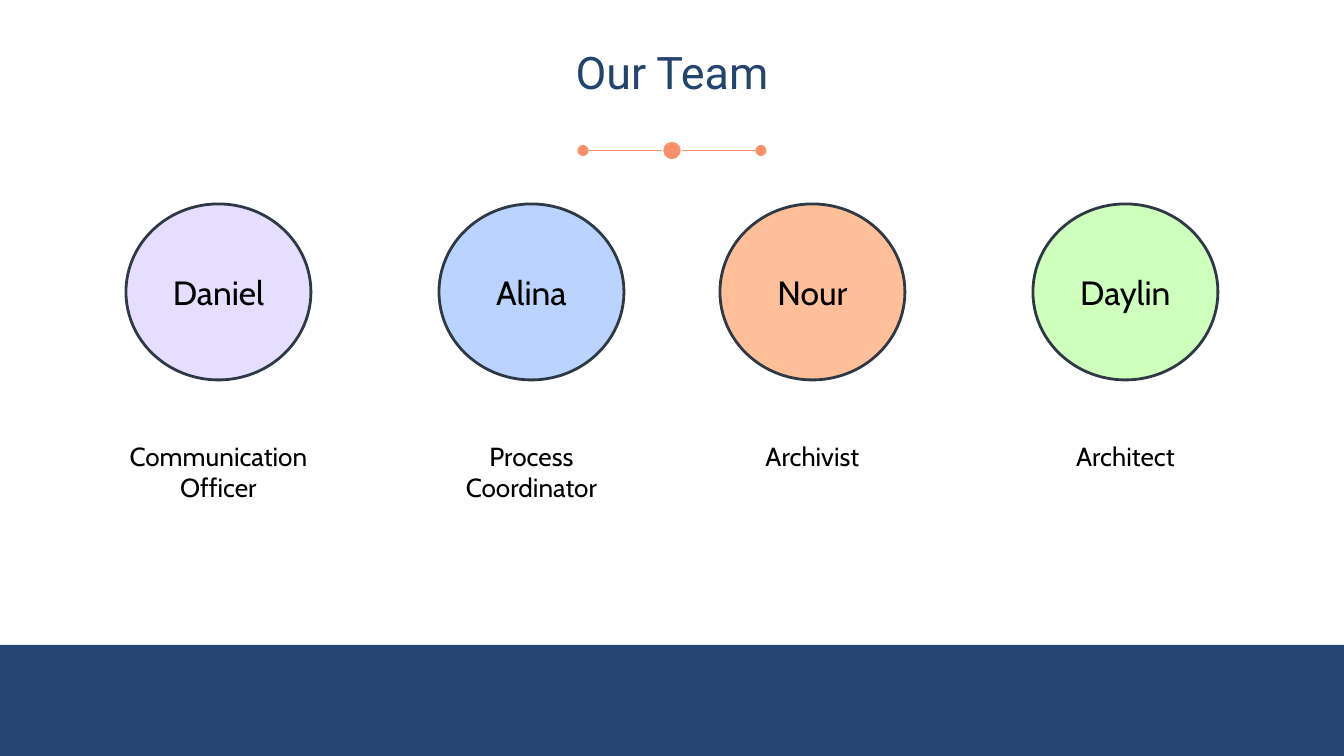
from dataclasses import dataclass

from lxml.etree import SubElement
from pptx import Presentation
from pptx.dml.color import RGBColor
from pptx.enum.shapes import MSO_CONNECTOR, MSO_SHAPE
from pptx.enum.text import MSO_ANCHOR, MSO_AUTO_SIZE, PP_ALIGN
from pptx.oxml.ns import qn
from pptx.util import Pt

PX = 9144000 / 1344
SLIDE_W, SLIDE_H = 1344, 756


@dataclass(frozen=True)
class Theme:
    navy: str = "22446F"
    coral: str = "FB8F6C"
    outline: str = "2F3946"
    white: str = "FFFFFF"
    black: str = "000000"
    title_font: str = "Roboto"
    body_font: str = "Cabin"
    title_size: int = 24
    name_size: int = 18
    role_size: int = 14


THEME = Theme()

CIRCLE_W, CIRCLE_H = 185, 176
WIDE_ROLE_W = 234
# name, role, circle colour, role width
TEAM = [
    ("Daniel", "Communication Officer", "E6DEFF", WIDE_ROLE_W),
    ("Alina", "Process Coordinator", "BAD4FF", CIRCLE_W),
    ("Nour", "Archivist", "FFBF99", CIRCLE_W),
    ("Daylin", "Architect", "CEFFBD", CIRCLE_W),
]


def px(*lengths):
    return [round(n * PX) for n in lengths]


def rgb(value):
    return RGBColor.from_string(value)


def set_text(sp, text, *, size, font=THEME.body_font, color=THEME.black,
             anchor=MSO_ANCHOR.MIDDLE, inset=13, line_spacing=None):
    tf = sp.text_frame
    tf.word_wrap = True
    tf.auto_size = MSO_AUTO_SIZE.NONE
    tf.vertical_anchor = anchor
    (tf.margin_left, tf.margin_top,
     tf.margin_right, tf.margin_bottom) = px(*[inset] * 4)
    p = tf.paragraphs[0]
    p.alignment = PP_ALIGN.CENTER
    p.line_spacing = line_spacing
    r = p.add_run()
    r.text = text
    r.font.name = font
    r.font.size = Pt(size)
    r.font.color.rgb = rgb(color)


def add_shape(s, kind, box, fill, line=None, weight=0.75):
    sp = s.shapes.add_shape(kind, *px(*box))
    sp.shadow.inherit = False
    sp.fill.solid()
    sp.fill.fore_color.rgb = rgb(fill)
    if line:
        sp.line.color.rgb = rgb(line)
        sp.line.width = Pt(weight)
    else:
        sp.line.fill.background()
    return sp


def add_title(s, box, text):
    sp = s.shapes.title
    sp.left, sp.top, sp.width, sp.height = px(*box)
    set_text(sp, text, size=THEME.title_size, font=THEME.title_font,
             color=THEME.navy, inset=0, line_spacing=0.9)


def add_divider(s, box):
    """Line with round ends and a larger dot at its centre."""
    x, y, w, h = box
    mid = y + h / 2
    cxn = s.shapes.add_connector(MSO_CONNECTOR.STRAIGHT, *px(x, mid, x + w, mid))
    cxn.line.color.rgb = rgb(THEME.coral)
    cxn.line.width = Pt(0.75)
    ln = cxn.line._get_or_add_ln()
    for end in ("a:headEnd", "a:tailEnd"):
        SubElement(ln, qn(end), type="oval")
    SubElement(cxn._element.spPr, qn("a:effectLst"))
    add_shape(s, MSO_SHAPE.OVAL, (x + (w - h) / 2, y, h, h),
              THEME.coral, THEME.white)


def add_member(s, box, name, role, color, role_w):
    """Circle with the name, and the role centred below it."""
    x, y, w, h = box
    circle = add_shape(s, MSO_SHAPE.OVAL, box, color, THEME.outline, 1.5)
    set_text(circle, name, size=THEME.name_size)
    label = s.shapes.add_textbox(*px(x + (w - role_w) / 2, y + h + 47, role_w, 47))
    set_text(label, role, size=THEME.role_size, anchor=MSO_ANCHOR.TOP)


def add_team(s, box):
    """Two pairs of members, mirrored about the middle of the box."""
    x, y, w, h = box
    step = 313
    last = x + w - CIRCLE_W
    lefts = (x, x + step, last - step, last)
    for left, member in zip(lefts, TEAM):
        add_member(s, (left, y, CIRCLE_W, h), *member)


def main():
    prs = Presentation()
    prs.slide_width, prs.slide_height = px(SLIDE_W, SLIDE_H)
    s = prs.slides.add_slide(prs.slide_layouts[5])
    margin = 126
    content_w = SLIDE_W - 2 * margin
    add_shape(s, MSO_SHAPE.RECTANGLE, (0, 645, SLIDE_W, 111), THEME.navy)
    add_divider(s, (583, 141, 178, 19))
    add_title(s, (margin, 0, content_w, 149), "Our Team")
    add_team(s, (margin, 204, content_w, CIRCLE_H))
    prs.save("out.pptx")


if __name__ == "__main__":
    main()
